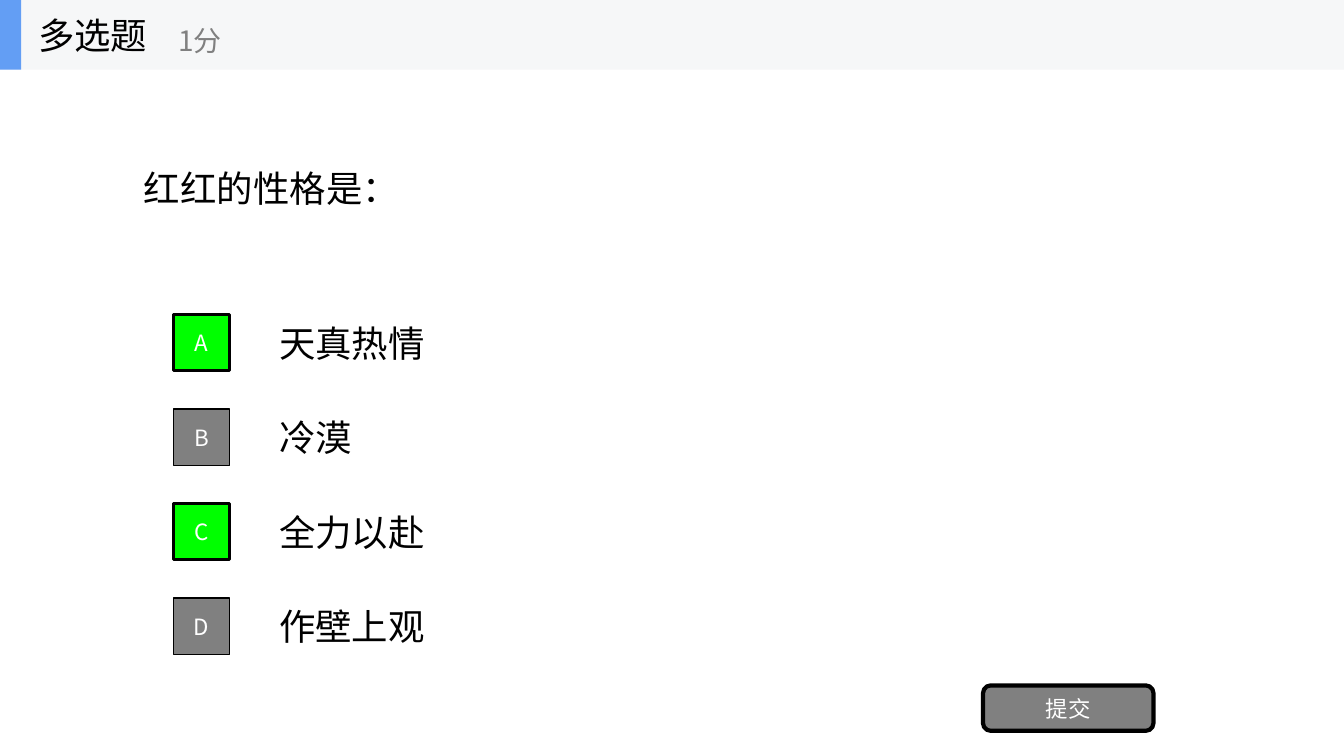
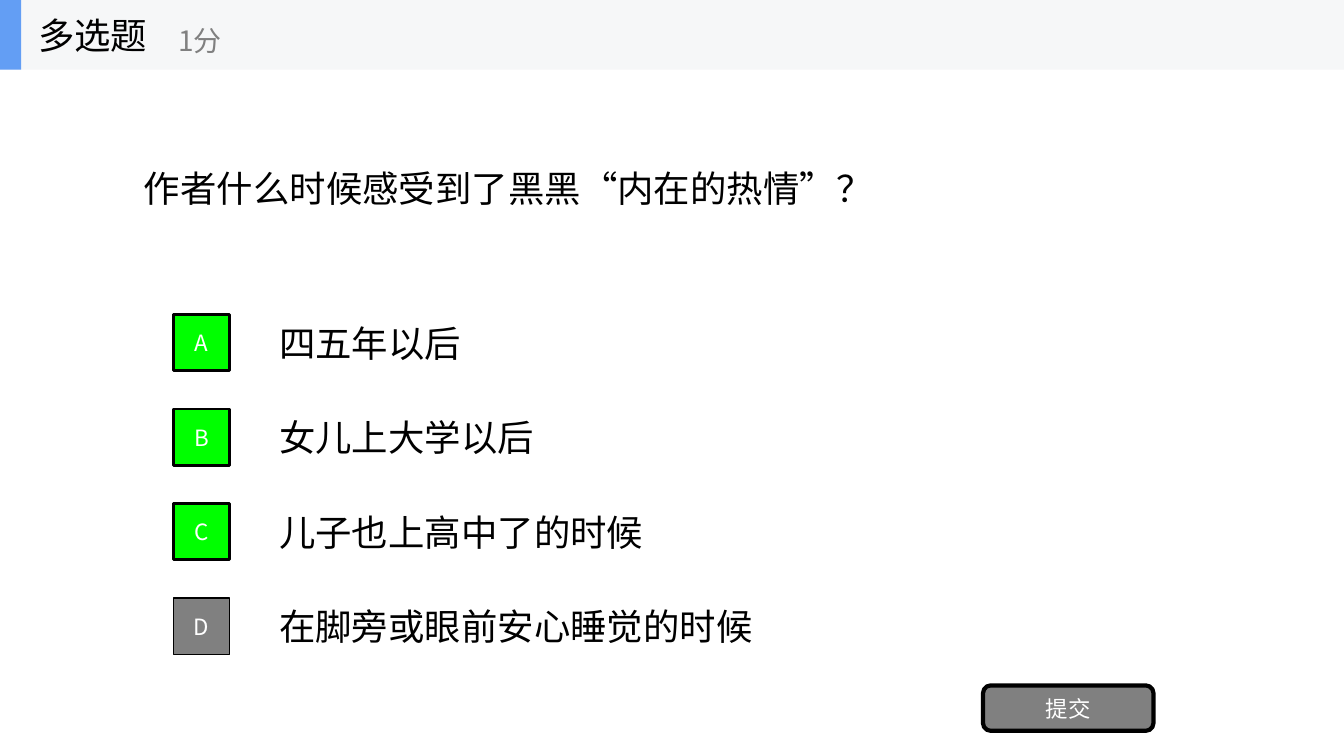
import dataclasses

import pptx
import pptx.dml.color
import pptx.enum.shapes
import pptx.enum.text
import pptx.oxml.ns
import pptx.shapes.base
import pptx.slide
import pptx.util
from pptx.util import Inches

FONT = "Noto Sans CJK SC"
COLORS = {
    "text": "000000",
    "muted": "808080",
    "on_dark": "FFFFFF",
    "correct": "00FF00",
    "band": "F6F7F8",
    "accent": "639EF4",
}
SLIDE_WIDTH, SLIDE_HEIGHT = 13.33, 7.5
BAND_HEIGHT = 0.69
BODY_SIZE, SCORE_SIZE, BUTTON_SIZE = 26, 20, 16
OPTION_TOP, OPTION_PITCH, OPTION_HEIGHT = 3.05, 0.937, 0.7
MARKER_SIDE = 0.56
RECTANGLE = pptx.enum.shapes.MSO_SHAPE.RECTANGLE
ROUNDED = pptx.enum.shapes.MSO_SHAPE.ROUNDED_RECTANGLE


@dataclasses.dataclass(frozen=True)
class Box:
    left: float
    top: float
    width: float
    height: float

    def lengths(self) -> tuple[pptx.util.Length, ...]:
        return tuple(Inches(value) for value in dataclasses.astuple(self))


@dataclasses.dataclass(frozen=True)
class Question:
    prompt: str
    options: tuple[str, ...]
    correct: str


QUESTIONS = (
    Question("红红的性格是：", ("天真热情", "冷漠", "全力以赴", "作壁上观"), "AC"),
    Question(
        "作者什么时候感受到了黑黑“内在的热情”？",
        ("四五年以后", "女儿上大学以后", "儿子也上高中了的时候", "在脚旁或眼前安心睡觉的时候"),
        "ABC",
    ),
)


def rgb(name: str) -> pptx.dml.color.RGBColor:
    return pptx.dml.color.RGBColor.from_string(COLORS[name])


def write_text(shape: pptx.shapes.base.BaseShape, text: str, size: float,
               color: str, centred: bool = False) -> None:
    frame = shape.text_frame
    frame.word_wrap = True
    frame.vertical_anchor = pptx.enum.text.MSO_ANCHOR.MIDDLE
    paragraph = frame.paragraphs[0]
    paragraph.text = text
    alignment = pptx.enum.text.PP_ALIGN
    paragraph.alignment = alignment.CENTER if centred else alignment.LEFT
    paragraph.font.size = pptx.util.Pt(size)
    paragraph.font.name = FONT
    paragraph.font.color.rgb = rgb(color)
    # Chinese characters take their typeface from a:ea.
    qn = pptx.oxml.ns.qn
    properties = paragraph._p.pPr.find(qn("a:defRPr"))
    east_asian = properties.makeelement(qn("a:ea"), {"typeface": FONT})
    properties.find(qn("a:latin")).addnext(east_asian)


def add_text(shapes, box: Box, text: str, size: float = BODY_SIZE,
             color: str = "text") -> None:
    write_text(shapes.add_textbox(*box.lengths()), text, size, color)


def add_block(shapes, box: Box, fill: str, line_width: float = 0,
              kind: pptx.enum.shapes.MSO_SHAPE = RECTANGLE) -> pptx.shapes.base.BaseShape:
    """Add a flat filled shape, outlined in black when line_width is positive."""
    shape = shapes.add_shape(kind, *box.lengths())
    shape.shadow.inherit = False
    shape.fill.solid()
    shape.fill.fore_color.rgb = rgb(fill)
    if line_width:
        shape.line.color.rgb = rgb("text")
        shape.line.width = pptx.util.Pt(line_width)
    else:
        shape.line.fill.background()
    return shape


def add_header(slide: pptx.slide.Slide) -> None:
    shapes = slide.shapes.add_group_shape().shapes
    add_block(shapes, Box(0, 0, SLIDE_WIDTH, BAND_HEIGHT), "band")
    add_block(shapes, Box(0, 0, 0.21, BAND_HEIGHT), "accent")
    add_text(shapes, Box(0.28, 0, 2.08, BAND_HEIGHT), "多选题")
    add_text(shapes, Box(1.67, 0.12, 2.5, 0.56), "1分", SCORE_SIZE, "muted")


def add_option(slide: pptx.slide.Slide, index: int, text: str, correct: str) -> None:
    letter = "ABCD"[index]
    is_correct = letter in correct
    top = OPTION_TOP + index * OPTION_PITCH
    add_text(slide.shapes, Box(2.67, top, 9.33, OPTION_HEIGHT), text)
    marker_top = top + (OPTION_HEIGHT - MARKER_SIDE) / 2
    marker = add_block(
        slide.shapes,
        Box(1.72, marker_top, MARKER_SIDE, MARKER_SIDE),
        "correct" if is_correct else "muted",
        2 if is_correct else 1,
    )
    write_text(marker, letter, BUTTON_SIZE, "on_dark", centred=True)


def add_question(slide: pptx.slide.Slide, question: Question) -> None:
    add_text(slide.shapes, Box(1.33, BAND_HEIGHT, 10.67, 2.34), question.prompt)
    for index, text in enumerate(question.options):
        add_option(slide, index, text, question.correct)
    submit = add_block(slide.shapes, Box(9.75, 6.8, 1.69, 0.45), "muted", 3, ROUNDED)
    write_text(submit, "提交", BUTTON_SIZE, "on_dark", centred=True)
    add_header(slide)


def main() -> None:
    presentation = pptx.Presentation()
    presentation.slide_width = Inches(SLIDE_WIDTH)
    presentation.slide_height = Inches(SLIDE_HEIGHT)
    blank_layout = presentation.slide_layouts[6]
    for question in QUESTIONS:
        add_question(presentation.slides.add_slide(blank_layout), question)
    presentation.save("out.pptx")


if __name__ == "__main__":
    main()
